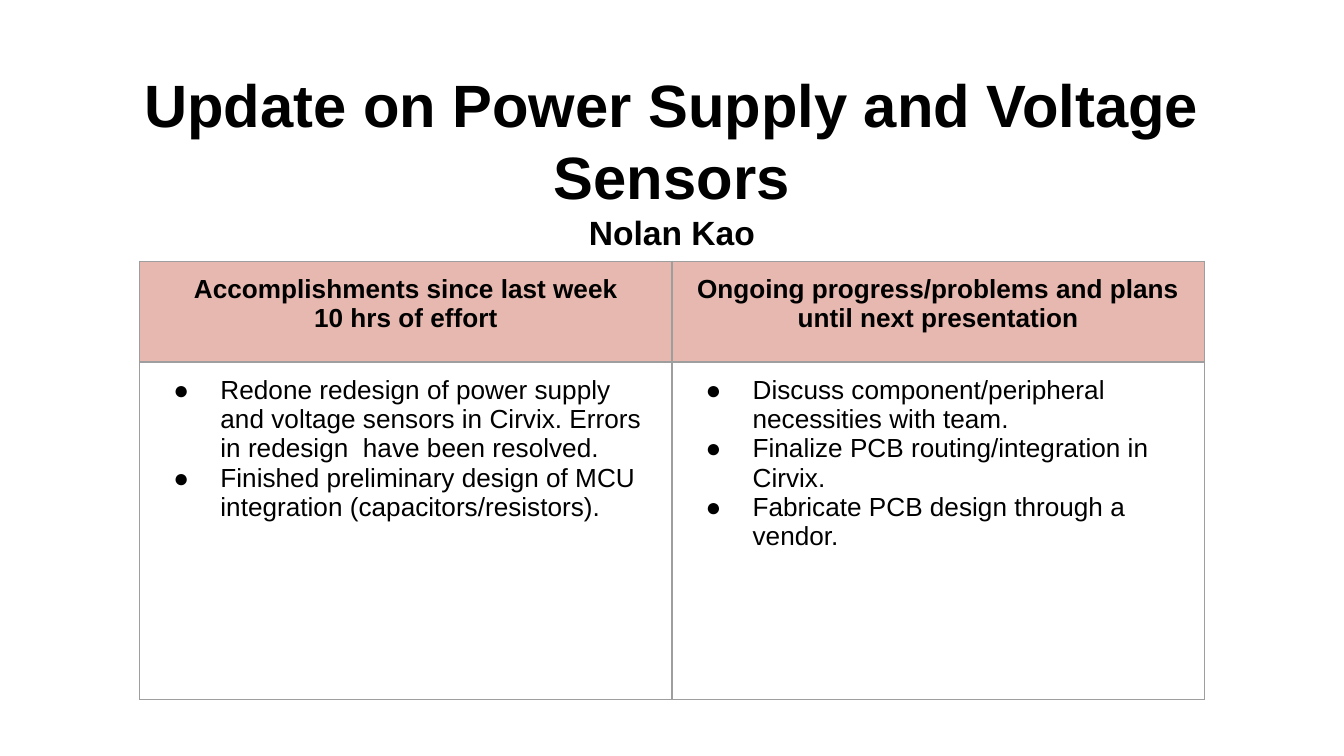
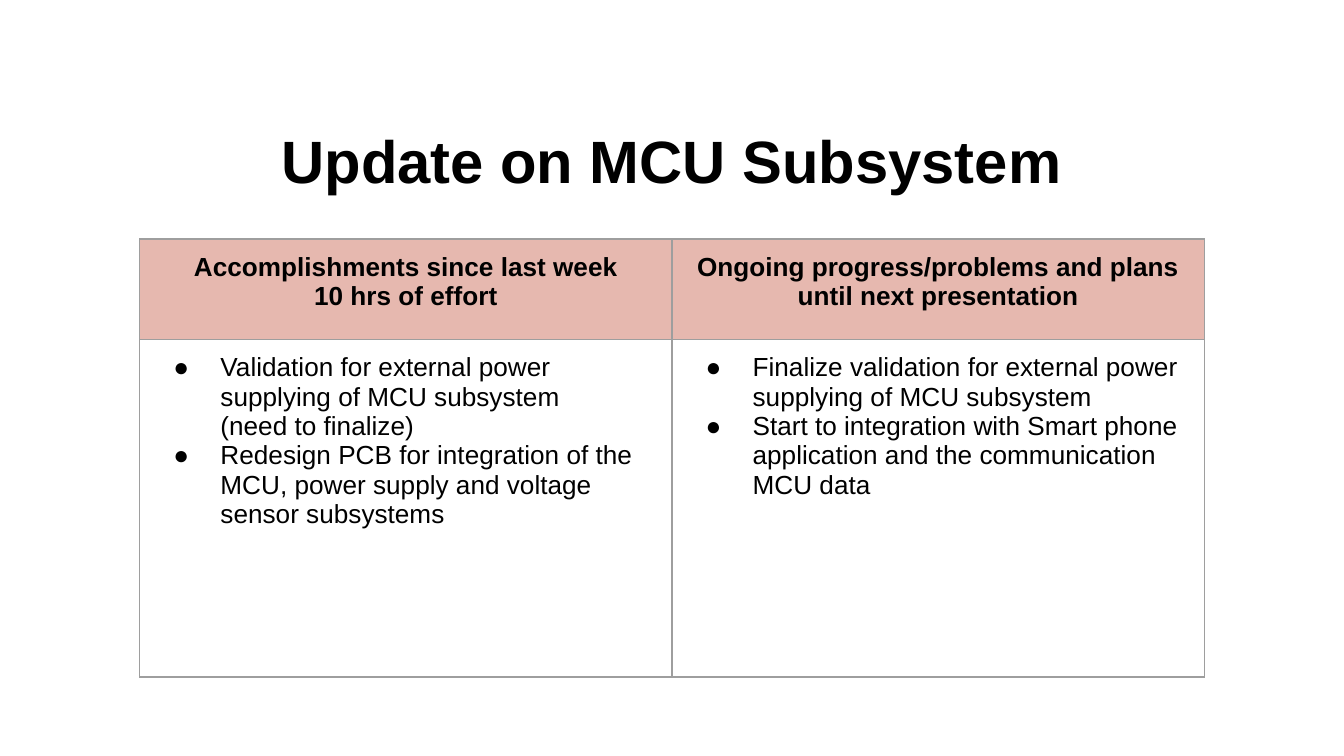
from dataclasses import dataclass

import lxml.etree
import pptx
import pptx.dml.color
import pptx.enum.text
import pptx.oxml.ns
import pptx.util

INK, HEADER_FILL, GRID_LINE = "000000", "E6B8AF", "9E9E9E"
FONT = "Arial"
TITLE_SIZE, NAME_SIZE, TABLE_SIZE = 32, 18, 14
WIDTH, HEIGHT = pptx.util.Inches(10), pptx.util.Inches(5.625)
GRID = 100
CENTER = pptx.enum.text.PP_ALIGN.CENTER
INSET = pptx.util.Inches(0.1)
TITLE_BOX = (5, 15.29, 90, 11.73)
TABLE_LEFT, COLUMN_WIDTH = 10.4, 39.6
ROW_HEIGHTS = (13.33, 44.62)
HEADERS = (
    ("Accomplishments since last week", "10 hrs of effort"),
    ("Ongoing progress/problems and plans until next presentation",),
)


@dataclass(frozen=True)
class Item:
    text: str
    bullet: bool = True


@dataclass(frozen=True)
class Update:
    title: str
    table_top: float
    done: tuple[Item, ...]
    planned: tuple[Item, ...]
    presenter: str = ""


UPDATES = (
    Update(
        "Update on Power Supply and Voltage Sensors",
        34.55,
        (
            Item("Redone redesign of power supply and voltage sensors in Cirvix. "
                 "Errors in redesign  have been resolved."),
            Item("Finished preliminary design of MCU integration (capacitors/resistors)."),
        ),
        (
            Item("Discuss component/peripheral necessities with team."),
            Item("Finalize PCB routing/integration in Cirvix."),
            Item("Fabricate PCB design through a vendor."),
        ),
        "Nolan Kao",
    ),
    Update(
        "Update on MCU Subsystem",
        31.6,
        (
            Item("Validation for external power supplying of MCU subsystem"),
            Item("(need to finalize)", bullet=False),
            Item("Redesign PCB for integration of the MCU, power supply and voltage "
                 "sensor subsystems"),
        ),
        (
            Item("Finalize validation for external power supplying of MCU subsystem"),
            Item("Start to integration with Smart phone application and the "
                 "communication MCU data"),
        ),
    ),
)


def color(value: str) -> pptx.dml.color.RGBColor:
    return pptx.dml.color.RGBColor.from_string(value)


def across(columns: float) -> int:
    return round(WIDTH * columns / GRID)


def down(rows: float) -> int:
    return round(HEIGHT * rows / GRID)


def child(parent, tag: str, **attributes: str):
    element = lxml.etree.SubElement(parent, pptx.oxml.ns.qn(tag))
    for name, value in attributes.items():
        element.set(name, value)
    return element


def style(p, size: float, bold: bool) -> None:
    for r in p.runs:
        r.font.name = FONT
        r.font.size = pptx.util.Pt(size)
        r.font.bold = bold
        r.font.color.rgb = color(INK)


def add_title(s, update: Update) -> None:
    left, top, width, height = TITLE_BOX
    sp = s.shapes.add_textbox(across(left), down(top), across(width), down(height))
    tf = sp.text_frame
    tf.word_wrap = True
    tf.vertical_anchor = pptx.enum.text.MSO_ANCHOR.MIDDLE
    tf.margin_left = tf.margin_right = tf.margin_top = tf.margin_bottom = INSET
    tf.text = "\n".join(filter(None, (update.title, update.presenter)))
    for p, size in zip(tf.paragraphs, (TITLE_SIZE, NAME_SIZE)):
        p.alignment = CENTER
        style(p, size, True)


def frame_cell(cell) -> None:
    cell.margin_left = cell.margin_right = INSET
    cell.margin_top = cell.margin_bottom = INSET
    tcPr = cell._tc.get_or_add_tcPr()
    for side in ("a:lnL", "a:lnR", "a:lnT", "a:lnB"):
        ln = child(tcPr, side, w=str(pptx.util.Pt(0.75)))
        child(child(ln, "a:solidFill"), "a:srgbClr", val=GRID_LINE)


def fill_header(cell, lines: tuple[str, ...]) -> None:
    frame_cell(cell)
    cell.fill.solid()
    cell.fill.fore_color.rgb = color(HEADER_FILL)
    cell.text_frame.text = "\n".join(lines)
    for p in cell.text_frame.paragraphs:
        p.alignment = CENTER
        style(p, TABLE_SIZE, True)


def fill_list(cell, items: tuple[Item, ...]) -> None:
    frame_cell(cell)
    cell.fill.background()
    cell.text_frame.text = "\n".join(item.text for item in items)
    for p, item in zip(cell.text_frame.paragraphs, items):
        style(p, TABLE_SIZE, False)
        pPr = p._p.get_or_add_pPr()
        pPr.set("marL", str(pptx.util.Inches(0.5)))
        pPr.set("indent", str(pptx.util.Inches(-0.35 if item.bullet else 0)))
        if item.bullet:
            child(child(pPr, "a:buClr"), "a:srgbClr", val=INK)
            child(pPr, "a:buFont", typeface=FONT)
            child(pPr, "a:buChar", char="●")
        else:
            child(pPr, "a:buNone")


def add_status_table(s, update: Update) -> None:
    table = s.shapes.add_table(
        len(ROW_HEIGHTS), len(HEADERS), across(TABLE_LEFT), down(update.table_top),
        across(COLUMN_WIDTH * len(HEADERS)), down(sum(ROW_HEIGHTS)),
    ).table
    table.first_row = table.horz_banding = False
    for row, height in zip(table.rows, ROW_HEIGHTS):
        row.height = down(height)
    for i, (header, items) in enumerate(zip(HEADERS, (update.done, update.planned))):
        table.columns[i].width = across(COLUMN_WIDTH)
        fill_header(table.cell(0, i), header)
        fill_list(table.cell(1, i), items)


def main() -> None:
    prs = pptx.Presentation()
    prs.slide_width, prs.slide_height = WIDTH, HEIGHT
    for update in UPDATES:
        s = prs.slides.add_slide(prs.slide_layouts[6])
        add_title(s, update)
        add_status_table(s, update)
    prs.save("out.pptx")


if __name__ == "__main__":
    main()
